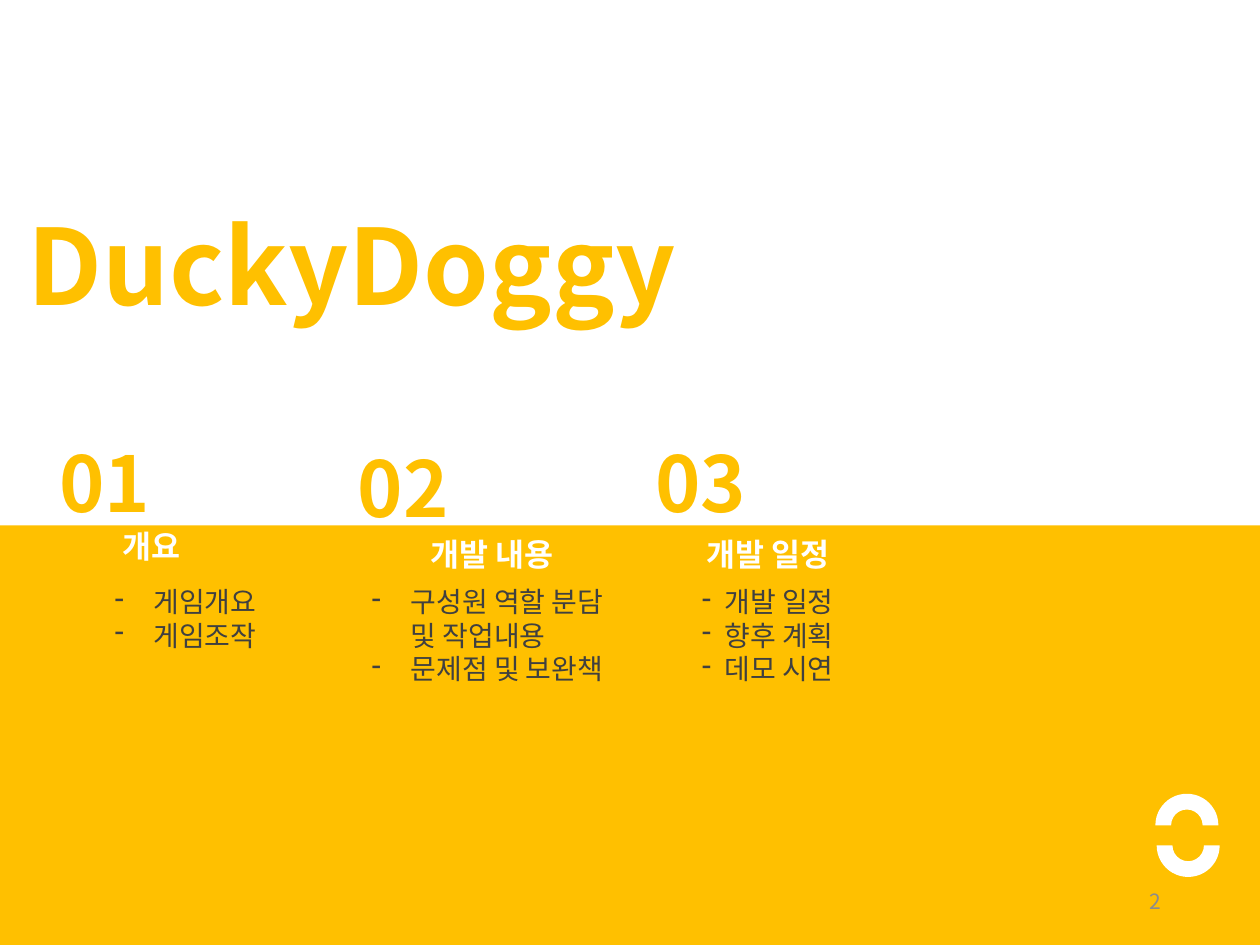
from lxml.etree import SubElement
from pptx import Presentation
from pptx.dml.color import RGBColor
from pptx.enum.shapes import MSO_SHAPE as Shape
from pptx.enum.text import MSO_ANCHOR as Anchor, MSO_AUTO_SIZE as AutoSize, PP_ALIGN as Align
from pptx.oxml.ns import qn
from pptx.util import Inches, Pt

AMBER = RGBColor(0xFF, 0xC0, 0x00)
WHITE = RGBColor(0xFF, 0xFF, 0xFF)
CHARCOAL = RGBColor(0x40, 0x40, 0x40)
GREY = RGBColor(0x8C, 0x8C, 0x8C)
FONT = "Noto Sans CJK KR"


class AgendaSlide:
    """Holds the style and the current slide, and adds each kind of element."""

    def __init__(self, slide):
        self.slide = slide

    def place(self, holder, box):
        holder.left, holder.top, holder.width, holder.height = map(Inches, box)

    def set_text(self, holder, text, size, color, bold=False, align=Align.LEFT,
                 anchor=Anchor.TOP, indent=None):
        frame = holder.text_frame
        frame.text = text
        frame.word_wrap = True
        frame.auto_size = AutoSize.SHAPE_TO_FIT_TEXT
        frame.vertical_anchor = anchor
        for paragraph in frame.paragraphs:
            paragraph.alignment = align
            paragraph.space_before = Pt(0)
            if indent:
                self.dash(paragraph, indent)
            for run in paragraph.runs:
                font = run.font
                font.name, font.size, font.bold = FONT, Pt(size), bold
                font.color.rgb = color
                SubElement(font._element, qn("a:ea"), typeface=FONT)

    def dash(self, paragraph, indent):
        properties = paragraph._p.get_or_add_pPr()
        properties.set("marL", str(Inches(indent)))
        properties.set("indent", str(-Inches(indent)))
        SubElement(properties, qn("a:buFontTx"))
        SubElement(properties, qn("a:buChar"), char="-")

    def title(self, text, box):
        title = self.slide.shapes.title
        self.place(title, box)
        self.set_text(title, text, 60, AMBER, bold=True)

    def topics(self, idx, items, box, indent):
        topics = self.slide.placeholders[idx]
        self.place(topics, box)
        self.set_text(topics, "\n".join(items), 16, CHARCOAL, indent=indent)

    def label(self, text, box, size, color, **style):
        label = self.slide.shapes.add_textbox(*map(Inches, box))
        self.set_text(label, text, size, color, **style)

    def shape(self, kind, box, color, rotation=0):
        shape = self.slide.shapes.add_shape(kind, *map(Inches, box))
        shape.shadow.inherit = False
        shape.fill.solid()
        shape.fill.fore_color.rgb = color
        shape.line.fill.background()
        shape.rotation = rotation
        return shape

    def band(self, box):
        band = self.shape(Shape.RECTANGLE, box, AMBER)._element
        band.getparent().insert(2, band)

    def remove_placeholder(self, idx):
        unused = self.slide.placeholders[idx]._element
        unused.getparent().remove(unused)


def main():
    deck = Presentation()
    deck.slide_width, deck.slide_height = Inches(10), Inches(7.5)
    agenda = AgendaSlide(deck.slides.add_slide(deck.slide_layouts[4]))
    agenda.band((0, 4.17, 10, 3.33))
    agenda.title("DuckyDoggy", (0.12, 1.54, 6.79, 1.11))

    sections = [
        ("01", (0.37, 3.41), "개요", (0.45, 4.13, 1.5, 0.4),
         1, ["게임개요", "게임조작"], (0.81, 4.59, 1.99, 0.64), 0.31),
        ("02", (2.74, 3.45), "개발 내용", (2.81, 4.2, 2.19, 0.4),
         2, ["구성원 역할 분담 및 작업내용", "문제점 및 보완책"], (2.85, 4.59, 2.28, 0.91), 0.31),
        ("03", (5.1, 3.41), "개발 일정", (5, 4.2, 2.19, 0.4),
         4, ["개발 일정", "향후 계획", "데모 시연"], (5.47, 4.59, 1.99, 0.91), 0.18),
    ]
    for number, corner, heading, heading_box, idx, items, topics_box, indent in sections:
        agenda.label(number, (*corner, 1.45, 0.84), 44, AMBER, bold=True)
        agenda.label(heading, heading_box, 18, WHITE, bold=True, align=Align.CENTER)
        agenda.topics(idx, items, topics_box, indent)
    agenda.remove_placeholder(3)

    agenda.shape(Shape.BLOCK_ARC, (9.17, 6.3, 0.5, 0.5), WHITE)
    agenda.shape(Shape.BLOCK_ARC, (9.18, 6.46, 0.5, 0.5), WHITE, rotation=180)
    agenda.label("2", (7.06, 6.95, 2.25, 0.4), 12, GREY, align=Align.RIGHT, anchor=Anchor.MIDDLE)
    deck.save("out.pptx")


if __name__ == "__main__":
    main()
